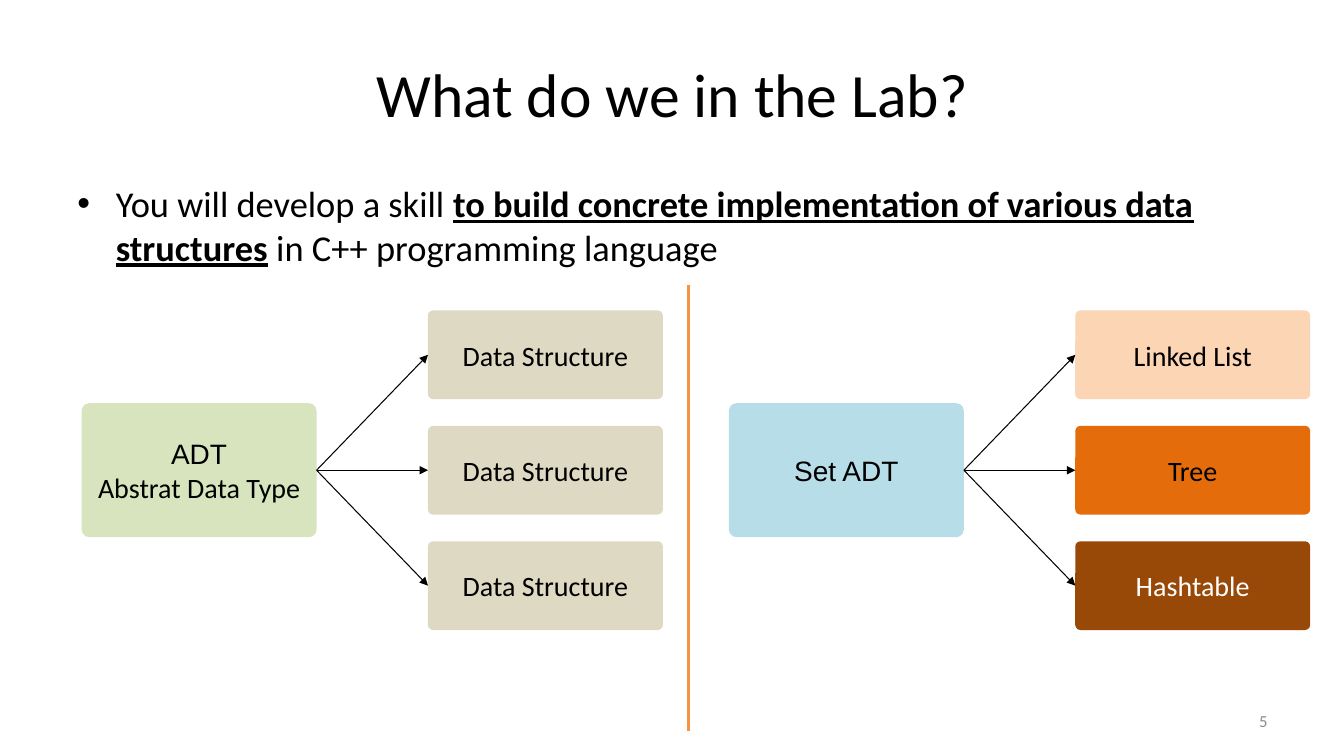
import pptx
import pptx.dml.color
import pptx.enum.shapes
import pptx.enum.text
import pptx.oxml
import pptx.oxml.ns
import pptx.util
from dataclasses import dataclass

Inches = pptx.util.Inches
Align = pptx.enum.text.PP_ALIGN
Anchor = pptx.enum.text.MSO_ANCHOR
STRAIGHT = pptx.enum.shapes.MSO_CONNECTOR.STRAIGHT
ROUNDED = pptx.enum.shapes.MSO_SHAPE.ROUNDED_RECTANGLE


@dataclass(frozen=True)
class Theme:
    body_font: str = "Calibri"
    adt_font: str = "Arial"
    title_size: int = 44
    body_size: int = 26
    box_size: int = 20
    number_size: int = 12
    black: str = "000000"
    white: str = "FFFFFF"
    gray: str = "8C8C8C"
    divider: str = "F69240"
    green: str = "D7E4BD"
    tan: str = "DDD9C3"
    blue: str = "B7DEE8"
    peach: str = "FCD5B5"
    orange: str = "E46C0A"
    brown: str = "984807"


theme = Theme()


def add_text(paragraph, text, size=theme.box_size, font=theme.body_font,
             color=theme.black, align=Align.CENTER, emphasis=False):
    """Append a run; emphasis makes it bold and underlined."""
    paragraph.alignment = align
    run = paragraph.add_run()
    run.text = text
    run.font.size = pptx.util.Pt(size)
    run.font.name = font
    run.font.color.rgb = pptx.dml.color.RGBColor.from_string(color)
    run.font.bold = run.font.underline = emphasis


def add_line(start, end, color, width, arrow=False):
    connector = slide.shapes.add_connector(STRAIGHT, *map(Inches, start + end))
    connector.line.color.rgb = pptx.dml.color.RGBColor.from_string(color)
    connector.line.width = pptx.util.Pt(width)
    properties = connector._element.spPr
    if arrow:
        pptx.oxml.ns.qn("a:tailEnd")
        tail = pptx.oxml.parse_xml(
            f'<a:tailEnd {pptx.oxml.ns.nsdecls("a")} type="triangle"/>')
        connector.line._get_or_add_ln().append(tail)
    properties.append(pptx.oxml.parse_xml(
        f'<a:effectLst {pptx.oxml.ns.nsdecls("a")}/>'))
    return connector


presentation = pptx.Presentation()
presentation.slide_width = Inches(13.33)
presentation.slide_height = Inches(7.5)
slide = presentation.slides.add_slide(presentation.slide_layouts[6])

# Title, bullet and slide number
frames = []
for position, anchor in [
    ((0.67, 0.3, 12, 1.25), Anchor.MIDDLE),
    ((0.67, 1.75, 12, 1), Anchor.TOP),
    ((9.56, 6.95, 3.11, 0.4), Anchor.MIDDLE),
]:
    frame = slide.shapes.add_textbox(*map(Inches, position)).text_frame
    frame.word_wrap = True
    frame.vertical_anchor = anchor
    frames.append(frame)
title, body, number = [frame.paragraphs[0] for frame in frames]

add_text(title, "What do we in the Lab?", size=theme.title_size)
add_text(number, "5", size=theme.number_size, color=theme.gray, align=Align.RIGHT)
for text, emphasis in [
    ("You will develop a skill ", False),
    ("to build concrete implementation of various data structures", True),
    (" in C++ programming language", False),
]:
    add_text(body, text, size=theme.body_size, align=Align.LEFT, emphasis=emphasis)
bullet_properties = body._p.get_or_add_pPr()
bullet_properties.set("marL", str(Inches(0.38)))
bullet_properties.set("indent", str(-Inches(0.38)))
for bullet in ('buFont {} typeface="Arial"', 'buChar {} char="•"'):
    bullet_properties.append(pptx.oxml.parse_xml(
        f'<a:{bullet.format(pptx.oxml.ns.nsdecls("a"))}/>'))

# Each diagram: one abstract type on the left, three implementations on the right
BOX_WIDTH, ADT_HEIGHT, STRUCTURE_HEIGHT = 2.33, 1.33, 0.88
ADT_TOP, STRUCTURE_TOP, STRUCTURE_PITCH = 4, 3.08, 1.145
STRUCTURE_OFFSET = 3.435
diagrams = [
    (0.81, theme.green,
     [("ADT", theme.adt_font), ("Abstrat Data Type", theme.body_font)],
     [("Data Structure", theme.tan, theme.black)] * 3),
    (7.23, theme.blue,
     [("Set ADT", theme.adt_font)],
     [("Linked List", theme.peach, theme.black),
      ("Tree", theme.orange, theme.black),
      ("Hashtable", theme.brown, theme.white)]),
]
for left, adt_fill, adt_lines, structures in diagrams:
    structure_left = left + STRUCTURE_OFFSET
    boxes = [(left, ADT_TOP, ADT_HEIGHT, adt_fill, theme.black, adt_lines)]
    for row, (name, fill, color) in enumerate(structures):
        boxes.append((structure_left, STRUCTURE_TOP + row * STRUCTURE_PITCH,
                      STRUCTURE_HEIGHT, fill, color, [(name, theme.body_font)]))

    shapes = []
    for box_left, top, height, fill, color, lines in boxes:
        shape = slide.shapes.add_shape(
            ROUNDED, *map(Inches, (box_left, top, BOX_WIDTH, height)))
        shape.adjustments[0] = 0.058
        shape.shadow.inherit = False
        shape.fill.solid()
        shape.fill.fore_color.rgb = pptx.dml.color.RGBColor.from_string(fill)
        shape.line.fill.background()
        frame = shape.text_frame
        frame.word_wrap = True
        frame.vertical_anchor = Anchor.MIDDLE
        for index, (text, font) in enumerate(lines):
            paragraph = frame.add_paragraph() if index else frame.paragraphs[0]
            add_text(paragraph, text, font=font, color=color)
        shapes.append(shape)

    adt, *implementations = shapes
    for implementation in implementations:
        arrow = add_line((left + BOX_WIDTH, ADT_TOP), (structure_left, ADT_TOP),
                         theme.black, 0.75, arrow=True)
        arrow.begin_connect(adt, 3)
        arrow.end_connect(implementation, 1)

add_line((6.83, 2.83), (6.83, 7.25), theme.divider, 2.25)

presentation.save("out.pptx")
